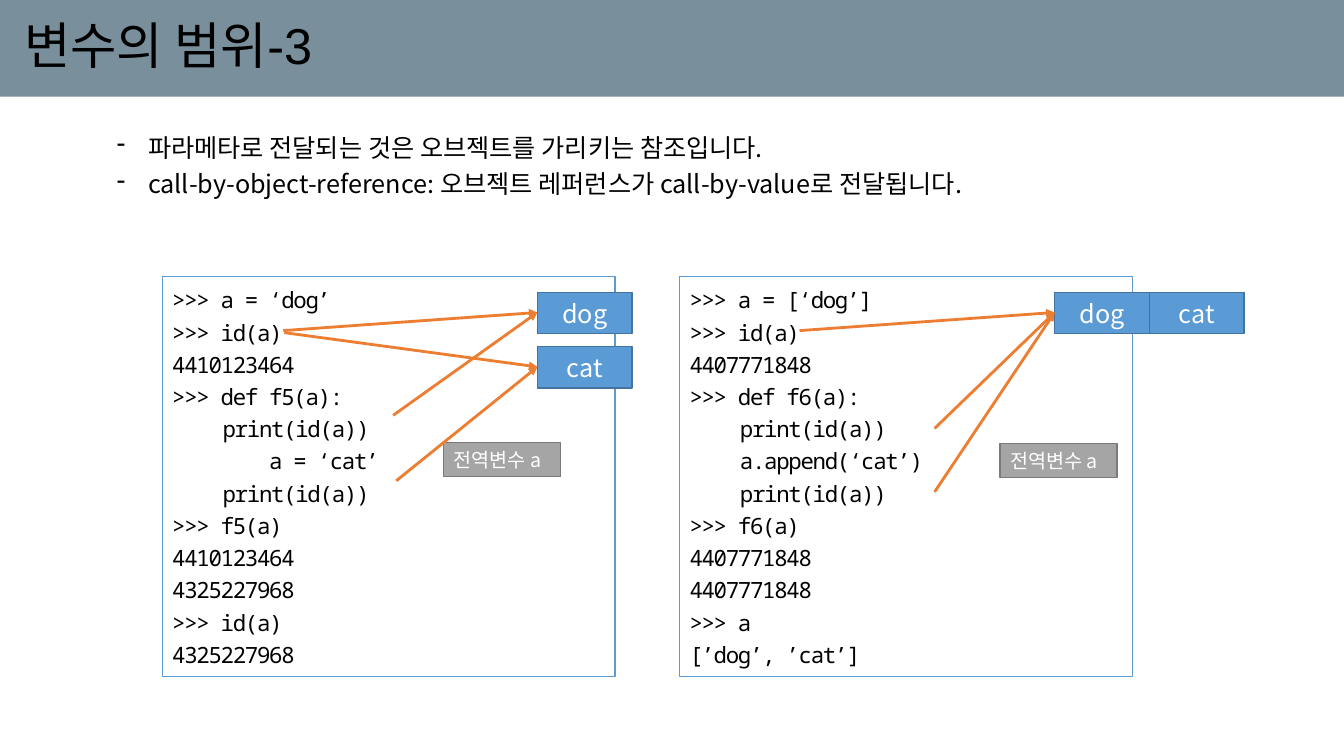
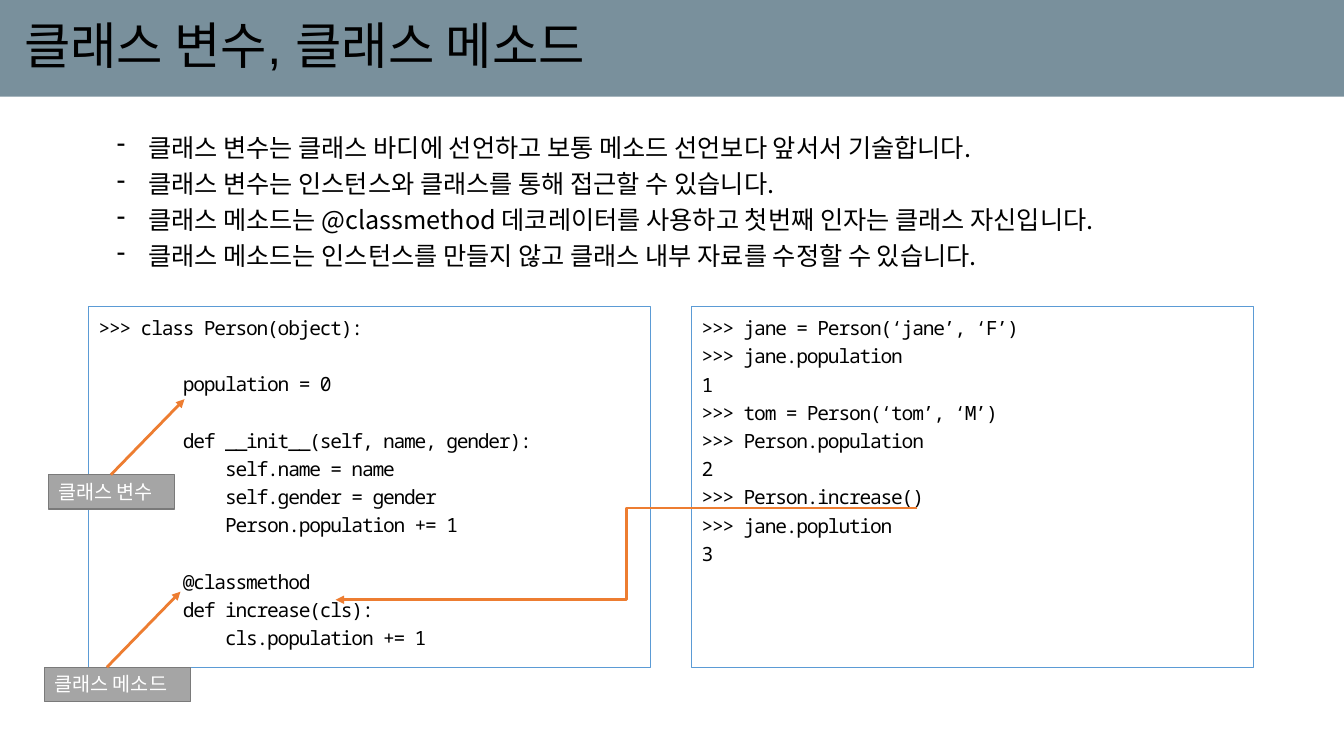
from lxml.etree import SubElement
from pptx import Presentation
from pptx.dml.color import RGBColor
from pptx.enum.shapes import MSO_CONNECTOR as Link, MSO_SHAPE as Preset
from pptx.enum.text import MSO_ANCHOR as Anchor, PP_ALIGN as Align
from pptx.oxml.ns import qn
from pptx.util import Inches, Pt

BLACK = RGBColor(0x00, 0x00, 0x00)
WHITE = RGBColor(0xFF, 0xFF, 0xFF)
SLATE = RGBColor(0x79, 0x90, 0x9C)
BLUE = RGBColor(0x5B, 0x9B, 0xD5)
NAVY = RGBColor(0x43, 0x73, 0x9E)
GRAY = RGBColor(0xA5, 0xA5, 0xA5)
DARK_GRAY = RGBColor(0x7A, 0x7A, 0x7A)
ORANGE = RGBColor(0xED, 0x7D, 0x31)

SANS = "Noto Sans CJK KR"
MONO = "Noto Sans Mono"
WIDTH, HEIGHT = 13.33, 7.5

TITLE = {"font": {"name": "Arial", "size": Pt(36)}, "color": BLACK,
         "para": {"alignment": Align.LEFT, "line_spacing": 0.9},
         "frame": {"vertical_anchor": Anchor.MIDDLE, "margin_left": Inches(0.24)}}
BULLETS = {"font": {"name": SANS, "size": Pt(18)}, "color": BLACK,
           "para": {"line_spacing": 1.2}, "frame": {}, "bullet": "-"}
CODE = {"font": {"name": MONO, "size": Pt(16)}, "color": BLACK, "spacing": -90,
        "east_asian": MONO,
        "para": {"alignment": Align.LEFT, "line_spacing": 1.2},
        "frame": {"vertical_anchor": Anchor.TOP}}
SMALL_CODE = {**CODE, "font": {"name": MONO, "size": Pt(14)}}
OBJECT = {"font": {"name": SANS, "size": Pt(18)}, "color": WHITE,
          "para": {"alignment": Align.CENTER},
          "frame": {"vertical_anchor": Anchor.MIDDLE}}
LABEL = {"font": {"name": SANS, "size": Pt(14)}, "color": WHITE,
         "para": {"alignment": Align.LEFT},
         "frame": {"vertical_anchor": Anchor.TOP, "margin_right": 0}}

F5_CODE = """>>> a = ‘dog’
>>> id(a)
4410123464
>>> def f5(a):
\tprint(id(a))
        a = ‘cat’
\tprint(id(a))
>>> f5(a)
4410123464
4325227968
>>> id(a)
4325227968"""

F6_CODE = """>>> a = [‘dog’]
>>> id(a)
4407771848
>>> def f6(a):
\tprint(id(a))
\ta.append(‘cat’)
\tprint(id(a))
>>> f6(a)
4407771848
4407771848
>>> a
[’dog’, ’cat’]"""

PERSON_CODE = """>>> class Person(object):

        population = 0

        def __init__(self, name, gender):
            self.name = name
            self.gender = gender
            Person.population += 1

        @classmethod
        def increase(cls):
            cls.population += 1"""

USAGE_CODE = """>>> jane = Person(‘jane’, ‘F’)
>>> jane.population
1
>>> tom = Person(‘tom’, ‘M’)
>>> Person.population
2
>>> Person.increase()
>>> jane.poplution
3"""


def apply(target, values):
    for name, value in values.items():
        setattr(target, name, value)


def write(box, lines, style):
    frame = box.text_frame
    apply(frame, {"word_wrap": True, **style["frame"]})
    para, gap = frame.paragraphs[0], False
    for index, line in enumerate(lines):
        if not line:
            gap = True
            continue
        if index:
            para = frame.add_paragraph()
        apply(para, style["para"])
        if gap:
            para.space_before = Pt(20)
            gap = False
        if "bullet" in style:
            props = para._p.get_or_add_pPr()
            props.set("marL", str(Inches(0.31)))
            props.set("indent", str(-Inches(0.31)))
            SubElement(props, qn("a:buChar")).set("char", style["bullet"])
        span = para.add_run()
        span.text = line
        apply(span.font, style["font"])
        span.font.color.rgb = style["color"]
        props = span._r.get_or_add_rPr()
        SubElement(props, qn("a:ea")).set("typeface", style.get("east_asian", SANS))
        if "spacing" in style:
            props.set("spc", str(style["spacing"]))


def add_box(page, place, lines, style, fill=None, line=None, weight=1):
    box = page.shapes.add_shape(Preset.RECTANGLE, *map(Inches, place))
    box.shadow.inherit = False
    if fill is None:
        box.fill.background()
    else:
        box.fill.solid()
        box.fill.fore_color.rgb = fill
    if line is None:
        box.line.fill.background()
    else:
        box.line.color.rgb = line
        box.line.width = Pt(weight)
    write(box, lines, style)


def add_code(page, place, code, style):
    add_box(page, place, code.split("\n"), style, line=BLUE, weight=0.75)


def add_object(page, left, top, name):
    add_box(page, (left, top, 0.94, 0.41), [name], OBJECT, BLUE, NAVY)


def add_label(page, left, top, width, text):
    add_box(page, (left, top, width, 0.34), [text], LABEL, GRAY, DARK_GRAY)


def add_arrow(page, start, end, kind=Link.STRAIGHT):
    arrow = page.shapes.add_connector(kind, *map(Inches, (*start, *end)))
    arrow.line.color.rgb = ORANGE
    arrow.line.width = Pt(2)
    SubElement(arrow.line._get_or_add_ln(), qn("a:tailEnd")).set("type", "triangle")
    SubElement(arrow._element.spPr, qn("a:effectLst"))


def add_page(deck, title, bullets):
    page = deck.slides.add_slide(deck.slide_layouts[6])
    add_box(page, (0, 0, WIDTH, 0.96), [title], TITLE, SLATE)
    place = (1.06, 1.2, 10.78, 0.1 + 0.365 * len(bullets))
    write(page.shapes.add_textbox(*map(Inches, place)), bullets, BULLETS)
    return page


def add_scope_page(deck):
    page = add_page(deck, "변수의 범위-3", [
        "파라메타로 전달되는 것은 오브젝트를 가리키는 참조입니다.",
        "call-by-object-reference: 오브젝트 레퍼런스가 call-by-value로 전달됩니다."])
    for left, code in ((1.61, F5_CODE), (6.74, F6_CODE)):
        add_code(page, (left, 2.74, 4.49, 3.97), code, CODE)
    for left, top, name in ((5.33, 2.9, "dog"), (5.33, 3.44, "cat"),
                            (10.46, 2.9, "dog"), (11.4, 2.9, "cat")):
        add_object(page, left, top, name)
    for left, top in ((4.4, 4.39), (9.92, 4.4)):
        add_label(page, left, top, 1.16, "전역변수 a")
    targets = {
        (5.33, 3.1): [(2.81, 3.28), (3.9, 4.12)],
        (5.33, 3.64): [(2.82, 3.3), (3.93, 4.77)],
        (10.46, 3.1): [(7.93, 3.28), (9.27, 4.25), (9.27, 4.88)],
    }
    for end, starts in targets.items():
        for start in starts:
            add_arrow(page, start, end)


def add_class_page(deck):
    page = add_page(deck, "클래스 변수, 클래스 메소드", [
        "클래스 변수는 클래스 바디에 선언하고 보통 메소드 선언보다 앞서서 기술합니다.",
        "클래스 변수는 인스턴스와 클래스를 통해 접근할 수 있습니다.",
        "클래스 메소드는 @classmethod 데코레이터를 사용하고 첫번째 인자는 클래스 자신입니다.",
        "클래스 메소드는 인스턴스를 만들지 않고 클래스 내부 자료를 수정할 수 있습니다."])
    for left, code in ((0.88, PERSON_CODE), (6.86, USAGE_CODE)):
        add_code(page, (left, 3.04, 5.57, 3.58), code, SMALL_CODE)
    for left, top, width, text in ((0.48, 4.71, 1.25, "클래스 변수"),
                                   (0.44, 6.62, 1.45, "클래스 메소드")):
        add_label(page, left, top, width, text)
        add_arrow(page, (left + 0.62, top), (left + 1.35, top - 0.75))
    add_arrow(page, (9.1, 5.04), (3.33, 5.95), Link.ELBOW)


def main():
    deck = Presentation()
    apply(deck, {"slide_width": Inches(WIDTH), "slide_height": Inches(HEIGHT)})
    add_scope_page(deck)
    add_class_page(deck)
    deck.save("out.pptx")


if __name__ == "__main__":
    main()
